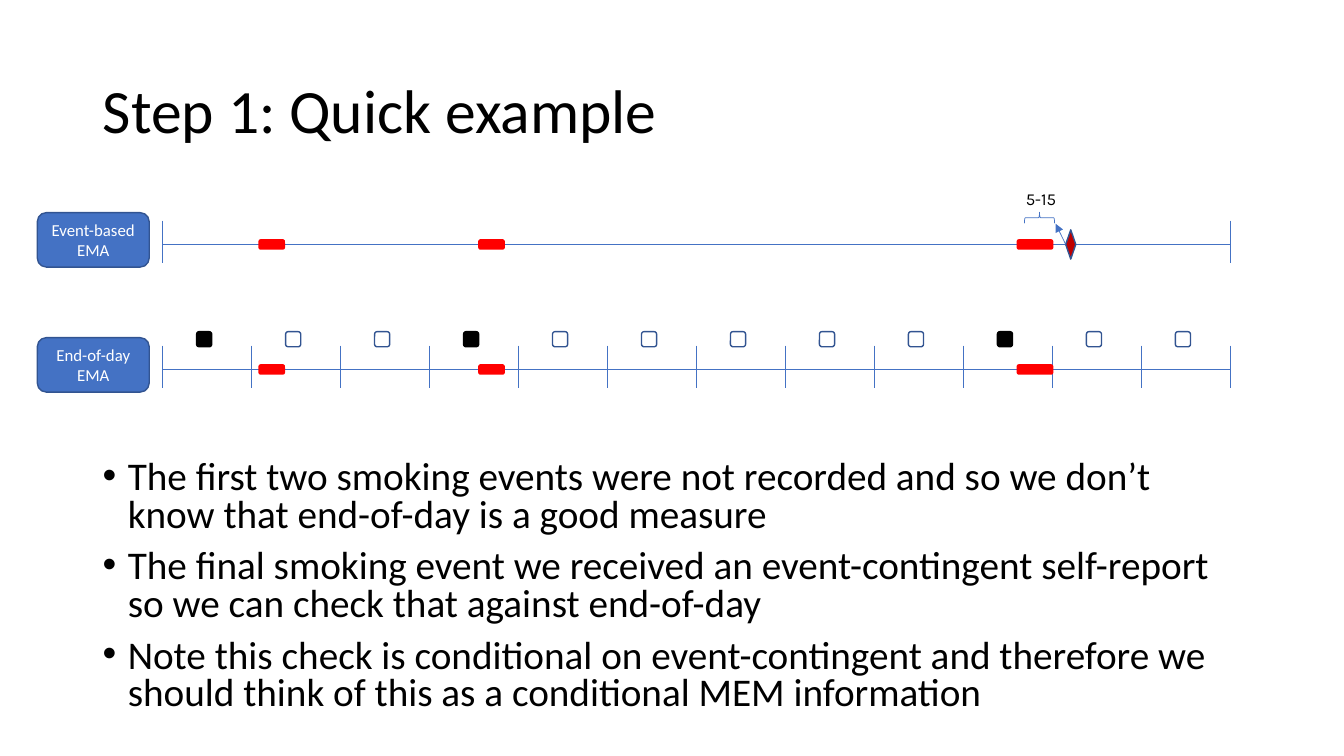
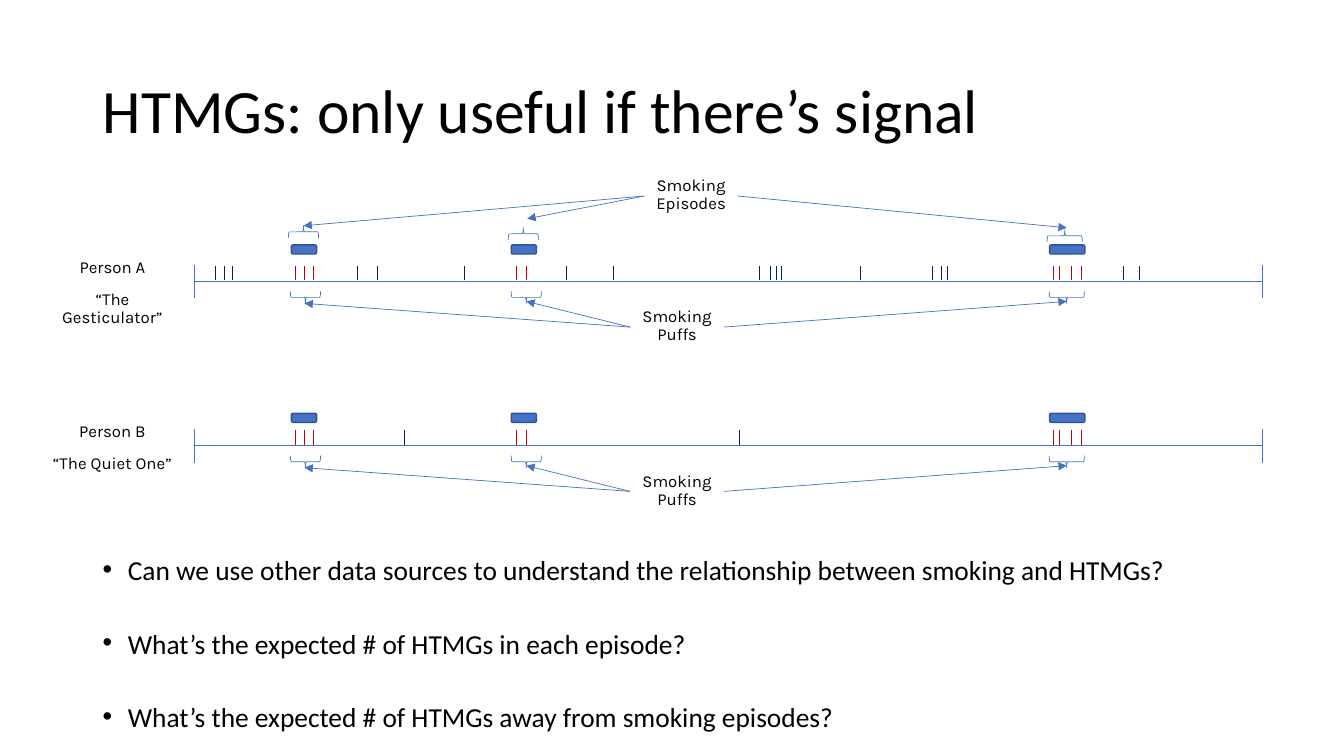
from lxml import etree
from pptx import Presentation
from pptx.dml.color import RGBColor
from pptx.enum.shapes import MSO_CONNECTOR, MSO_SHAPE
from pptx.enum.text import MSO_ANCHOR, PP_ALIGN
from pptx.oxml.ns import qn
from pptx.util import Inches, Pt

STRAIGHT = MSO_CONNECTOR.STRAIGHT
ROUNDED, DIAMOND, BRACE = MSO_SHAPE.ROUNDED_RECTANGLE, MSO_SHAPE.DIAMOND, MSO_SHAPE.LEFT_BRACE
MIDDLE = MSO_ANCHOR.MIDDLE
LEFT, CENTER = PP_ALIGN.LEFT, PP_ALIGN.CENTER
LEFT_SIDE, RIGHT_SIDE = 1, 3
POINT_UP, POINT_DOWN = 90, 270

BLUE, DARK_BLUE, NAVY = "4472C4", "325491", "002060"
RED, DARK_RED, BLACK, WHITE = "FF0000", "C00000", "000000", "FFFFFF"
BODY_FONT, LABEL_FONT = "Calibri", "Karla"

MARGIN, CONTENT_WIDTH = 0.92, 11.5
AXIS_LENGTH, DAYS = 10.59, 12
SMOKED_DAYS = (0, 3, 9)

# Places along an axis are measured from its left end.
EPISODES = ((0.96, 0.25), (3.14, 0.25), (8.48, 0.35))
PUFFS = (1.0, 1.09, 1.18, 3.19, 3.29, 8.52, 8.58, 8.7, 8.8)
GESTURES_A = (0.21, 0.3, 0.37, 1.61, 1.81, 2.68, 3.69, 4.15, 5.6, 5.71, 5.77,
              5.82, 6.6, 7.32, 7.41, 7.47, 9.21, 9.37)
GESTURES_B = (2.08, 5.4)
# Brace centre x, y and span, then arrow tip x, y.
PUFF_MARKS = ((1.1, 0.16, 0.3, 1.09, 0.22), (3.29, 0.16, 0.3, 3.29, 0.2),
              (8.65, 0.16, 0.35, 8.65, 0.2))
EPISODE_MARKS = ((1.08, -0.49, 0.3, 1.08, -0.55), (3.26, -0.47, 0.3, 3.3, -0.62),
                 (8.63, -0.45, 0.35, 8.65, -0.53))


def rgb(color):
    return RGBColor.from_string(color)


def style_font(para, size, font, color):
    para.font.size = Pt(size)
    para.font.name = font
    para.font.color.rgb = rgb(color)


def add_line(slide, x1, y1, x2, y2, color=BLUE, arrow=False):
    line = slide.shapes.add_connector(STRAIGHT, *map(Inches, (x1, y1, x2, y2)))
    line.line.color.rgb = rgb(color)
    line.line.width = Pt(0.5)
    if arrow:
        etree.SubElement(line.line._get_or_add_ln(), qn("a:tailEnd"), type="triangle")
    etree.SubElement(line._element.spPr, qn("a:effectLst"))
    return line


def add_shape(slide, kind, left, top, width, height, fill=None, outline=DARK_BLUE, weight=1):
    shape = slide.shapes.add_shape(kind, *map(Inches, (left, top, width, height)))
    shape.shadow.inherit = False
    if fill:
        shape.fill.solid()
        shape.fill.fore_color.rgb = rgb(fill)
    else:
        shape.fill.background()
    shape.line.color.rgb = rgb(outline)
    shape.line.width = Pt(weight)
    return shape


def add_brace(slide, center_x, center_y, depth, span, rotation):
    brace = add_shape(slide, BRACE, center_x - depth / 2, center_y - span / 2,
                      depth, span, outline=BLUE, weight=0.5)
    brace.rotation = rotation


def add_text(slide, left, top, width, height, lines):
    """Add a text box with one paragraph a line, and return it."""
    box = slide.shapes.add_textbox(*map(Inches, (left, top, width, height)))
    frame = box.text_frame
    frame.word_wrap = True
    frame.text = "\n".join(lines)
    return box


def add_label(slide, left, top, width, height, *lines):
    box = add_text(slide, left, top, width, height, lines)
    for para in box.text_frame.paragraphs:
        para.alignment = CENTER
        para.line_spacing = 0.9
        para.space_before = Pt(10)
        style_font(para, 12, LABEL_FONT, BLACK)
    return box


def add_bullets(slide, top, height, size, spacing, gap, lines):
    box = add_text(slide, MARGIN, top, CONTENT_WIDTH, height, lines)
    for index, para in enumerate(box.text_frame.paragraphs):
        para.line_spacing = spacing
        para.space_before = Pt(gap if index else 10)
        props = para._p.get_or_add_pPr()
        props.set("marL", str(Inches(0.25)))
        props.set("indent", str(Inches(-0.25)))
        etree.SubElement(props, qn("a:buFont"), typeface="Arial")
        etree.SubElement(props, qn("a:buChar"), char="•")
        style_font(para, size, BODY_FONT, BLACK)


def add_titled_slide(deck, text):
    slide = deck.slides.add_slide(deck.slide_layouts[5])
    title = slide.shapes.title
    title.left, title.top = Inches(MARGIN), Inches(0.4)
    title.width, title.height = Inches(CONTENT_WIDTH), Inches(1.45)
    title.text_frame.text = text
    title.text_frame.vertical_anchor = MIDDLE
    para = title.text_frame.paragraphs[0]
    para.alignment = LEFT
    para.line_spacing = 0.9
    style_font(para, 44, BODY_FONT, BLACK)
    return slide


def add_axis(slide, left, axis_y, above, below, parts=1):
    """Draw a time line cut into equal parts by upright ticks."""
    add_line(slide, left, axis_y, left + AXIS_LENGTH, axis_y)
    for index in range(parts + 1):
        x = left + index * AXIS_LENGTH / parts
        add_line(slide, x, axis_y - above, x, axis_y + below)


def add_episodes(slide, left, top, fill, outline):
    for offset, width in EPISODES:
        add_shape(slide, ROUNDED, left + offset, top, width, 0.09, fill, outline)


def add_ema_row(slide, left, axis_y, name, parts=1):
    tag = add_shape(slide, ROUNDED, left - 1.24, axis_y - 0.31, 1.11, 0.54, BLUE)
    tag.text_frame.text = name
    tag.text_frame.word_wrap = True
    tag.text_frame.vertical_anchor = MIDDLE
    para = tag.text_frame.paragraphs[0]
    para.alignment = CENTER
    style_font(para, 12, BODY_FONT, WHITE)
    add_axis(slide, left, axis_y, 0.23, 0.19, parts)
    add_episodes(slide, left, axis_y - 0.04, RED, RED)


def add_self_report(slide, left, axis_y):
    """Mark the reported event and the minutes that it covers."""
    diamond = add_shape(slide, DIAMOND, left + 8.96, axis_y - 0.14, 0.1, 0.29, DARK_RED)
    arrow = add_line(slide, left + 8.96, axis_y, left + 8.86, axis_y - 0.2, arrow=True)
    arrow.begin_connect(diamond, LEFT_SIDE)
    add_brace(slide, left + 8.7, axis_y - 0.26, 0.11, 0.3, POINT_UP)
    add_label(slide, left + 8.25, axis_y - 0.57, 0.93, 0.26, "5-15")


def add_day_boxes(slide, left, top):
    for day in range(DAYS):
        color, outline = (BLACK, BLACK) if day in SMOKED_DAYS else (WHITE, DARK_BLUE)
        add_shape(slide, ROUNDED, left + day * AXIS_LENGTH / DAYS + 0.34, top,
                  0.15, 0.15, color, outline)


def add_callout(slide, left, axis_y, box_x, box_y, text, marks, rotation):
    """Place a label with arrows to a brace over or under each episode."""
    label = add_label(slide, left + box_x, axis_y + box_y, 0.93, 0.47, text)
    for center_x, center_y, span, tip_x, tip_y in marks:
        add_brace(slide, left + center_x, axis_y + center_y, 0.12, span, rotation)
        arrow = add_line(slide, left + box_x, axis_y + box_y, left + tip_x,
                         axis_y + tip_y, arrow=True)
        arrow.begin_connect(label, LEFT_SIDE if tip_x < box_x else RIGHT_SIDE)


def add_person_row(slide, left, axis_y, name, nickname, gestures, episode_rise):
    add_axis(slide, left, axis_y, 0.16, 0.17)
    add_label(slide, left - 1.59, axis_y - 0.27, 1.55, 0.63, name, nickname)
    add_episodes(slide, left, axis_y - episode_rise, BLUE, DARK_BLUE)
    for color, offsets in ((DARK_RED, PUFFS), (NAVY, gestures)):
        for offset in offsets:
            x = left + offset
            add_line(slide, x, axis_y - 0.15, x, axis_y - 0.01, color)
    add_callout(slide, left, axis_y, 4.32, 0.22, "Smoking Puffs", PUFF_MARKS, POINT_DOWN)


def build_example_slide(deck):
    slide = add_titled_slide(deck, "Step 1: Quick example")
    left, event_y, day_y = 1.61, 2.42, 3.66
    add_ema_row(slide, left, event_y, "Event-based EMA")
    add_self_report(slide, left, event_y)
    add_ema_row(slide, left, day_y, "End-of-day EMA", DAYS)
    add_day_boxes(slide, left, day_y - 0.37)
    add_bullets(slide, 4.52, 2.64, 28, 0.8, 10, (
        "The first two smoking events were not recorded and so we don’t know that "
        "end-of-day is a good measure",
        "The final smoking event we received an event-contingent self-report so we can "
        "check that against end-of-day",
        "Note this check is conditional on event-contingent and therefore we should "
        "think of this as a conditional MEM information"))


def build_signal_slide(deck):
    slide = add_titled_slide(deck, "HTMGs: only useful if there’s signal")
    left, first_y, second_y = 1.93, 2.79, 4.42
    add_person_row(slide, left, first_y, "Person A", "“The Gesticulator”", GESTURES_A, 0.36)
    add_callout(slide, left, first_y, 4.46, -1.08, "Smoking Episodes", EPISODE_MARKS, POINT_UP)
    add_person_row(slide, left, second_y, "Person B", "“The Quiet One”", GESTURES_B, 0.32)
    add_bullets(slide, 5.53, 1.97, 19.6, 0.7, 36, (
        "Can we use other data sources to understand the relationship between smoking and HTMGs?",
        "What’s the expected # of HTMGs in each episode?",
        "What’s the expected # of HTMGs away from smoking episodes?"))


def main():
    deck = Presentation()
    deck.slide_width, deck.slide_height = Inches(13.33), Inches(7.5)
    build_example_slide(deck)
    build_signal_slide(deck)
    deck.save("out.pptx")


if __name__ == "__main__":
    main()
